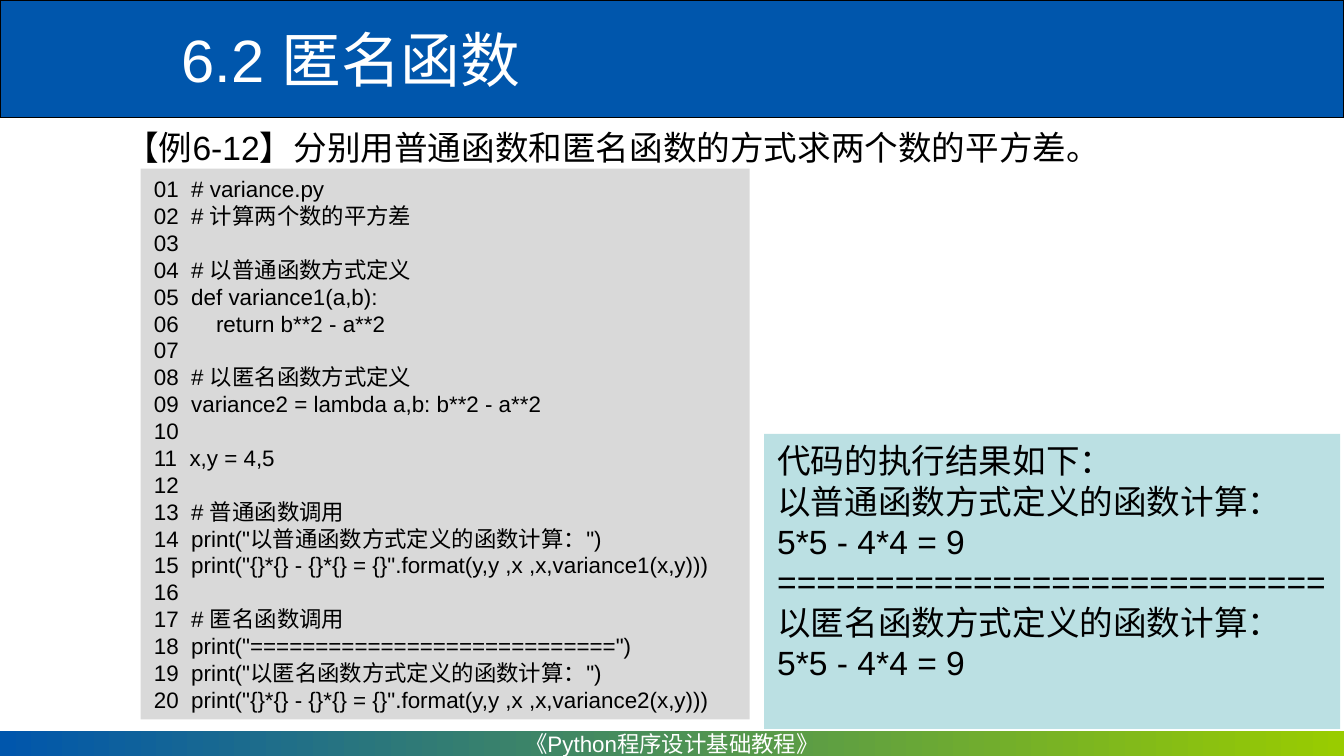
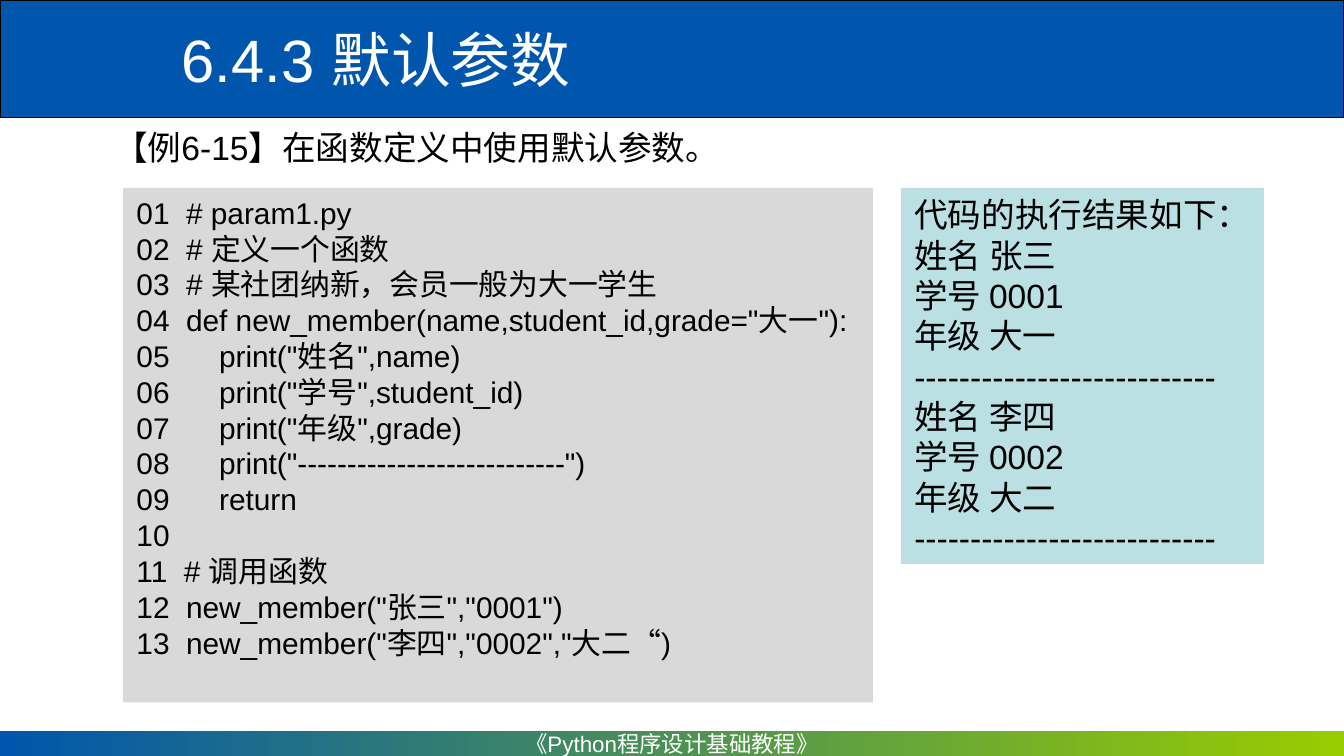
"""Build two lesson slides on Python functions, each with code and its output."""
from pptx import Presentation
from pptx.dml.color import RGBColor
from pptx.enum.shapes import MSO_SHAPE
from pptx.enum.text import MSO_ANCHOR, MSO_AUTO_SIZE, PP_ALIGN
from pptx.util import Cm, Pt

RECT = MSO_SHAPE.RECTANGLE
TOP, MID = MSO_ANCHOR.TOP, MSO_ANCHOR.MIDDLE
LEFT, CENTER = PP_ALIGN.LEFT, PP_ALIGN.CENTER
FIXED = MSO_AUTO_SIZE.NONE
WIDE, HIGH = 25.4, 14.29
FONT = "Arial"
HUES = {
    "blue": "0056AC", "green": "99CC00", "gray": "D9D9D9",
    "teal": "BBE0E3", "black": "000000", "white": "FFFFFF",
}

CODE_A = '''# variance.py
# 计算两个数的平方差

# 以普通函数方式定义
def variance1(a,b):
    return b**2 - a**2

# 以匿名函数方式定义
variance2 = lambda a,b: b**2 - a**2

x,y = 4,5

# 普通函数调用
print("以普通函数方式定义的函数计算：")
print("{}*{} - {}*{} = {}".format(y,y ,x ,x,variance1(x,y)))

# 匿名函数调用
print("============================")
print("以匿名函数方式定义的函数计算：")
print("{}*{} - {}*{} = {}".format(y,y ,x ,x,variance2(x,y)))'''

OUT_A = '''代码的执行结果如下：
以普通函数方式定义的函数计算：
5*5 - 4*4 = 9
============================
以匿名函数方式定义的函数计算：
5*5 - 4*4 = 9'''

CODE_B = '''# param1.py
# 定义一个函数
# 某社团纳新，会员一般为大一学生
def new_member(name,student_id,grade="大一"):
    print("姓名",name)
    print("学号",student_id)
    print("年级",grade)
    print("---------------------------")
    return

# 调用函数
new_member("张三","0001")
new_member("李四","0002","大二“)'''

OUT_B = '''代码的执行结果如下：
姓名 张三
学号 0001
年级 大一
---------------------------
姓名 李四
学号 0002
年级 大二
---------------------------'''


def hue(name):
    """Return the named colour."""
    return RGBColor.from_string(HUES[name])


def write(shape, text, size=18, color="black", align=LEFT, anchor=TOP, wrap=True):
    """Fill a shape with one paragraph per line of text."""
    frame = shape.text_frame
    frame.auto_size = FIXED
    frame.word_wrap = wrap
    frame.vertical_anchor = anchor
    for i, line in enumerate(text.split("\n")):
        para = frame.add_paragraph() if i else frame.paragraphs[0]
        para.alignment = align
        run = para.add_run()
        run.text = line
        run.font.name = FONT
        run.font.size = Pt(size)
        run.font.color.rgb = hue(color)


class Deck:
    """Hold the style and the current slide."""

    def __init__(self):
        """Open an empty deck of the right size."""
        self.prs = Presentation()
        self.prs.slide_width = Cm(WIDE)
        self.prs.slide_height = Cm(HIGH)
        self.plan = self.prs.slide_layouts[5]
        self.slide = None

    def page(self, title):
        """Start a slide with its title."""
        self.slide = self.prs.slides.add_slide(self.plan)
        head = self.slide.shapes.title
        head.left, head.top = Cm(3.18), Cm(0.16)
        head.width, head.height = Cm(22.22), Cm(1.91)
        write(head, title, size=32, color="white", anchor=MID)

    def rect(self, box, fill=None):
        """Add a plain rectangle without line or shadow."""
        shape = self.slide.shapes.add_shape(RECT, *map(Cm, box))
        shape.shadow.inherit = False
        shape.line.fill.background()
        if fill:
            shape.fill.solid()
            shape.fill.fore_color.rgb = hue(fill)
        return shape

    def bands(self):
        """Put the title band and footer on the shared layout."""
        band = self.rect((0, 0, WIDE, 2.22), "blue")
        band.line.color.rgb = hue("black")
        band.line.width = Pt(0.75)
        foot = self.rect((0, 13.82, WIDE, 0.47))
        foot.fill.gradient()
        foot.fill.gradient_angle = 0
        for stop, name in zip(foot.fill.gradient_stops, ("blue", "green")):
            stop.color.rgb = hue(name)
        write(foot, "《Python程序设计基础教程》", size=12, color="white",
              align=CENTER, anchor=MID, wrap=False)
        tree = self.plan.shapes._spTree
        for i, shape in enumerate((band, foot)):
            shape._element.nvSpPr.cNvPr.id = 20 + i
            tree.insert(2 + i, shape._element)

    def lead(self, text, left, width):
        """Add the line that names the example."""
        box = self.slide.shapes.add_textbox(Cm(left), Cm(2.28), Cm(width), Cm(1.03))
        write(box, text)

    def code(self, text, box, size):
        """Add a code listing with line numbers."""
        rows = enumerate(text.split("\n"), 1)
        lines = [f"{n:02}  {row}".rstrip() for n, row in rows]
        write(self.rect(box, "gray"), "\n".join(lines), size=size)

    def result(self, text, box):
        """Add the output of the code."""
        write(self.rect(box, "teal"), text, wrap=False)


def main():
    """Build and save the deck."""
    deck = Deck()
    deck.page("6.2 匿名函数")
    deck.bands()
    deck.lead("【例6-12】分别用普通函数和匿名函数的方式求两个数的平方差。", 2.12, 20.32)
    deck.code(CODE_A, (2.66, 3.19, 11.51, 10.41), 12)
    deck.result(OUT_A, (14.44, 8.2, 10.89, 5.58))

    deck.page("6.4.3 默认参数")
    deck.lead("【例6-15】在函数定义中使用默认参数。", 1.91, 23.06)
    deck.code(CODE_B, (2.33, 3.55, 14.17, 9.73), 16)
    deck.result(OUT_B, (17.03, 3.55, 6.86, 7.11))
    deck.prs.save("out.pptx")


if __name__ == "__main__":
    main()
